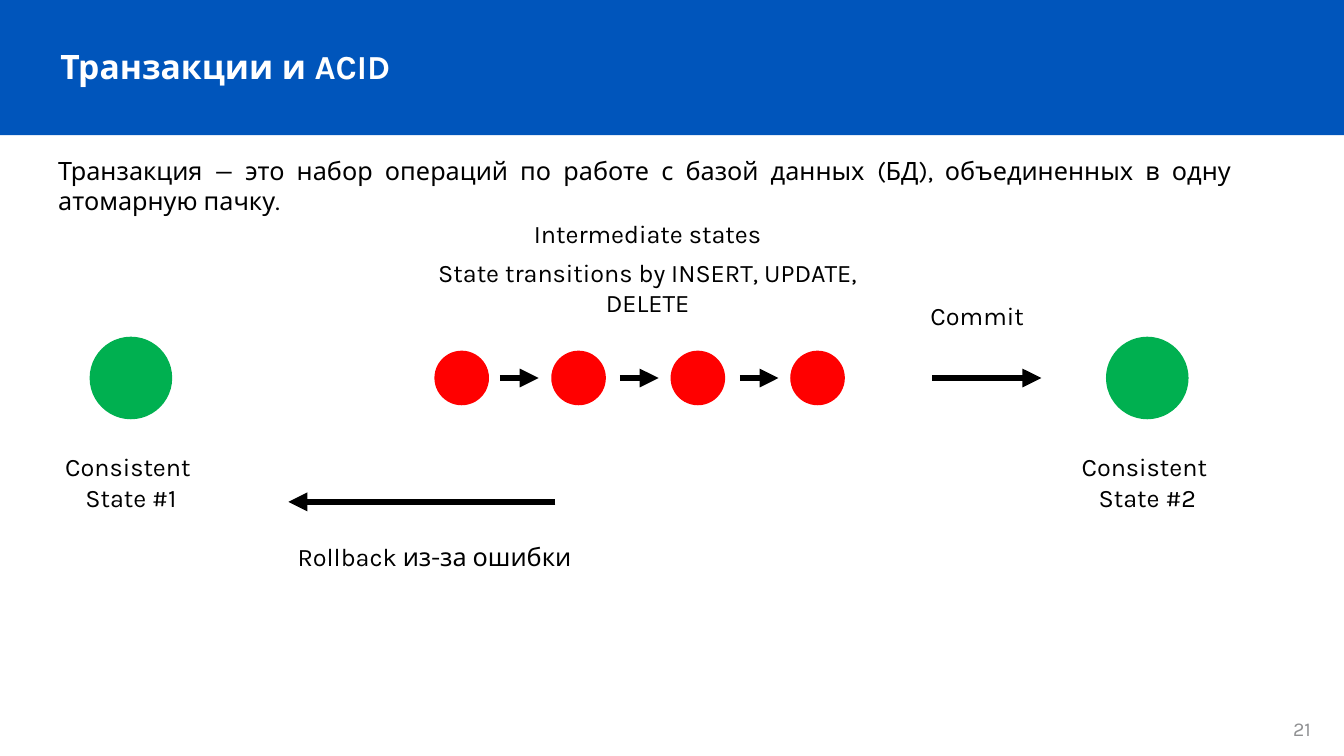
from lxml.etree import SubElement
from pptx import Presentation
from pptx.dml.color import RGBColor
from pptx.enum.shapes import MSO_CONNECTOR, MSO_SHAPE
from pptx.enum.text import MSO_ANCHOR, MSO_AUTO_SIZE, PP_ALIGN
from pptx.oxml.ns import qn
from pptx.util import Pt

BLUE = RGBColor(0x00, 0x55, 0xBB)
GREEN = RGBColor(0x00, 0xB0, 0x50)
RED = RGBColor(0xFF, 0x00, 0x00)
BLACK = RGBColor(0x00, 0x00, 0x00)
WHITE = RGBColor(0xFF, 0xFF, 0xFF)
GREY = RGBColor(0x8F, 0x90, 0x92)

AXIS_Y = 270
STATE_SIZE = 59
STEP_SIZE = 39


def add_text(s, text, x, y, w, h, align=PP_ALIGN.CENTER, frame=None, **font):
    """Add a text box with one formatted paragraph."""
    tf = s.shapes.add_textbox(Pt(x), Pt(y), Pt(w), Pt(h)).text_frame
    box = {"word_wrap": True, "auto_size": MSO_AUTO_SIZE.SHAPE_TO_FIT_TEXT}
    for name, value in (box | (frame or {})).items():
        setattr(tf, name, value)
    p = tf.paragraphs[0]
    p.text = text
    p.alignment = align
    look = {"name": "Karla", "size": Pt(18), "color": BLACK} | font
    color = look.pop("color")
    for r in p.runs:
        for name, value in look.items():
            setattr(r.font, name, value)
        r.font.color.rgb = color


def add_fill(s, kind, x, y, w, h, color):
    """Add a plain filled shape without outline."""
    sp = s.shapes.add_shape(kind, Pt(x), Pt(y), Pt(w), Pt(h))
    sp.shadow.inherit = False
    sp.fill.solid()
    sp.fill.fore_color.rgb = color
    sp.line.fill.background()


def add_circle(s, x, size, color):
    """Add a circle centred on the axis of states."""
    add_fill(s, MSO_SHAPE.OVAL, x, AXIS_Y - size / 2, size, size, color)


def add_arrow(s, x1, x2, y=AXIS_Y):
    """Add a thick horizontal arrow from x1 to x2."""
    c = s.shapes.add_connector(MSO_CONNECTOR.STRAIGHT, Pt(x1), Pt(y), Pt(x2), Pt(y))
    c.line.color.rgb = BLACK
    c.line.width = Pt(4.5)
    SubElement(c.line._get_or_add_ln(), qn("a:tailEnd"), type="triangle")
    SubElement(c._element.spPr, qn("a:effectLst"))


def add_state(s, x, label):
    """Add a consistent state with its label below."""
    add_circle(s, x, STATE_SIZE, GREEN)
    add_text(s, label, x - 29.5, 319, 118, 51)


def main():
    """Build the slide and save it."""
    prs = Presentation()
    prs.slide_width, prs.slide_height = Pt(960), Pt(540)
    s = prs.slides.add_slide(prs.slide_layouts[6])

    add_text(s, "21", 916.5, 508.3, 34, 24.5, PP_ALIGN.LEFT,
             {"word_wrap": False}, size=Pt(14), color=GREY)
    add_fill(s, MSO_SHAPE.RECTANGLE, 0, 0, 960, 96.5, BLUE)
    add_text(s, "Транзакции и ACID", 0, 29.5, 900, 36, PP_ALIGN.LEFT,
             {"margin_left": Pt(43.2), "vertical_anchor": MSO_ANCHOR.MIDDLE},
             size=Pt(24), bold=True, color=WHITE)
    add_text(s, "Транзакция — это набор операций по работе с базой данных (БД), "
                "объединенных в одну атомарную пачку.",
             34.5, 107.3, 852.5, 51, PP_ALIGN.JUSTIFY)

    add_state(s, 64, "Consistent \nState #1")
    add_state(s, 790, "Consistent \nState #2")
    for x in (310.3, 393.8, 479, 564.5):
        add_circle(s, x, STEP_SIZE, RED)
    for i in range(3):
        x = 357.1 + 85.7 * i
        add_arrow(s, x, x + 27.6)

    add_text(s, "Intermediate states", 305.3, 152.6, 314.6, 29)
    add_text(s, "State transitions by INSERT, UPDATE, DELETE", 305.3, 180, 314.6, 51)
    add_text(s, "Commit", 652.3, 211, 91.4, 29)
    add_arrow(s, 666, 743.8)
    add_text(s, "Rollback из-за ошибки", 191.5, 383, 237.6, 29)
    add_arrow(s, 396.7, 206, 358.5)

    prs.save("out.pptx")


if __name__ == "__main__":
    main()
